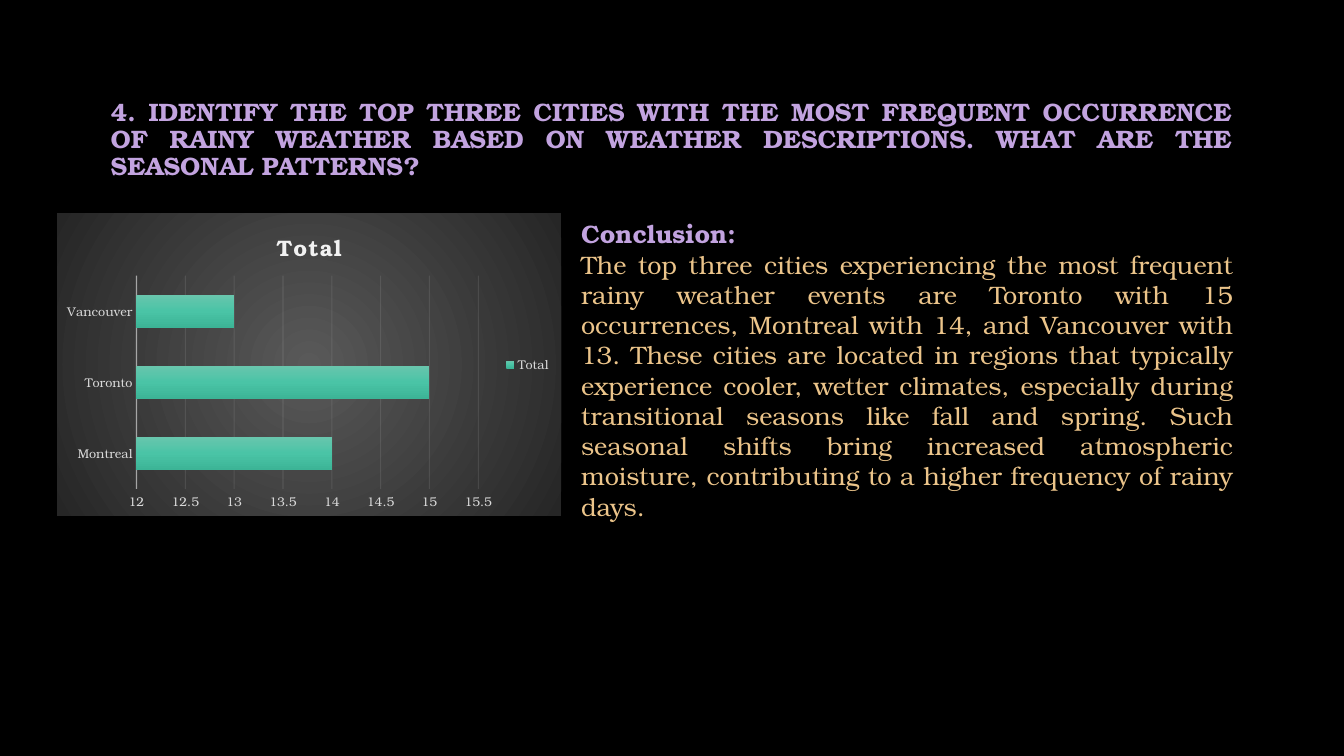
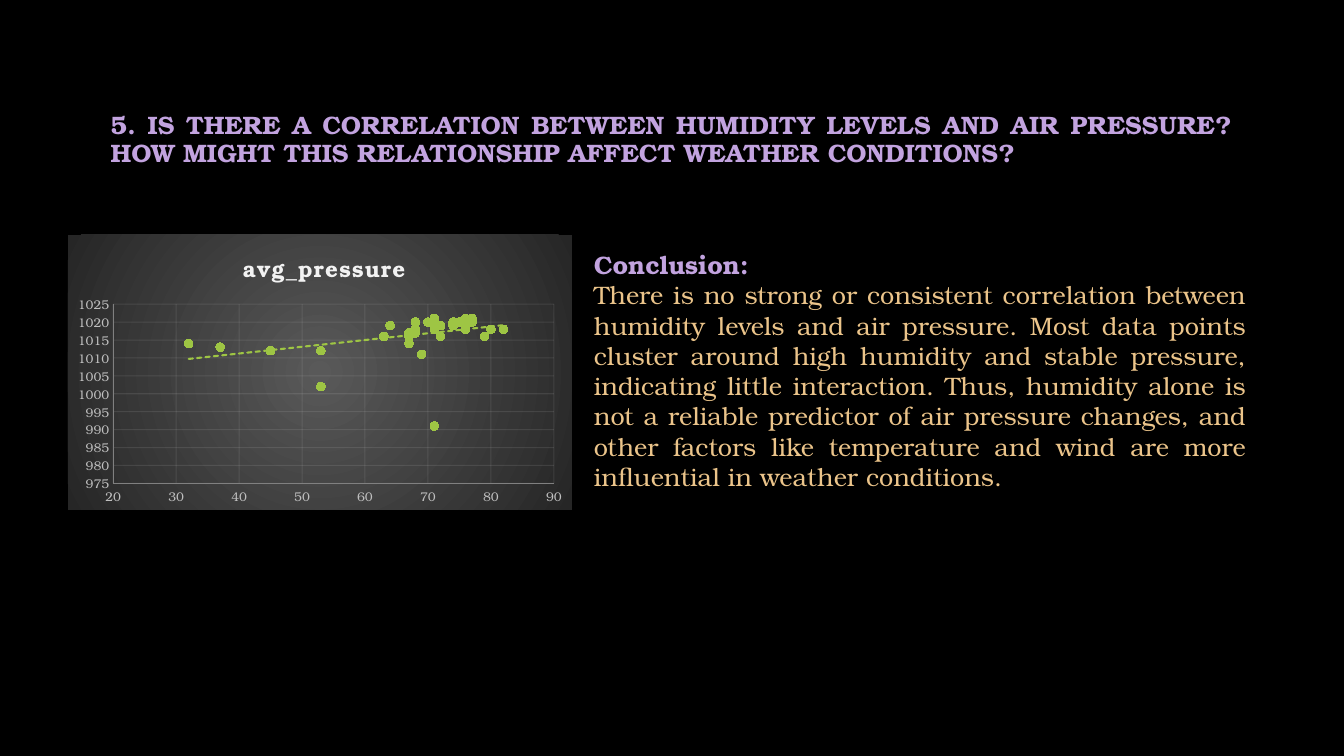
"""Build two weather analysis slides, each pairing a chart with its conclusion."""
import pptx
import pptx.chart.data
import pptx.dml.color
import pptx.enum.chart
import pptx.enum.text
import pptx.oxml
import pptx.oxml.ns
import pptx.util

WIDTH, HEIGHT = pptx.util.Inches(13.33), pptx.util.Inches(7.5)
COLUMNS, ROWS = 40, 45
FONT = "TeX Gyre Bonum"
COLORS = {
    "background": "000000",
    "heading": "C2A3DF",
    "body": "EBC48A",
    "chart_text": "FFFFFF",
    "chart_title": "F2F2F2",
    "grid": "F2F2F2",
    "axis_line": "808080",
    "bar_labels": "D9D9D9",
    "scatter_labels": "BFBFBF",
    "pressure": "9EC544",
}
PANEL_STOPS = [(0, "595959"), (100, "262626")]
BAR_STOPS = [(0, "69C6AD"), (50, "4AC4A6"), (100, "3CB496")]
PANEL_SHADE = ('<a:path path="circle"><a:fillToRect l="50000" t="50000" '
               'r="50000" b="50000"/></a:path>')
BAR_SHADE = '<a:lin ang="5400000" scaled="0"/>'

TITLE_AREA = (3, 4, 33.96, 8.7)
RAINY_CITIES = {"Montreal": 14, "Toronto": 15, "Vancouver": 13}
HUMIDITY_PRESSURE = [
    (45, 1012), (71, 1021), (71, 991), (77, 1020), (70, 1020), (74, 1020),
    (64, 1019), (53, 1012), (72, 1019), (53, 1002), (80, 1018), (74, 1019),
    (72, 1016), (76, 1021), (69, 1011), (67, 1017), (32, 1014), (63, 1016),
    (76, 1018), (71, 1020), (72, 1019), (79, 1016), (68, 1017), (67, 1016),
    (68, 1020), (37, 1013), (70, 1020), (75, 1020), (71, 1018), (68, 1018),
    (68, 1020), (77, 1021), (77, 1020), (67, 1014), (76, 1019), (82, 1018),
]


def color(name):
    """Return the named colour."""
    return pptx.dml.color.RGBColor.from_string(COLORS[name])


def place(area):
    """Turn left, top, width and height in columns and rows into lengths."""
    left, top, width, height = area
    return (int(WIDTH * left / COLUMNS), int(HEIGHT * top / ROWS),
            int(WIDTH * width / COLUMNS), int(HEIGHT * height / ROWS))


def style_font(font, size, color_name, bold=False):
    """Apply the shared typeface with a size, colour and weight."""
    font.name = FONT
    font.size = pptx.util.Pt(size)
    font.bold = bold
    font.color.rgb = color(color_name)


def chart_xml(tag, content):
    """Parse a chart element with the given content."""
    namespaces = pptx.oxml.ns.nsdecls("c", "a")
    return pptx.oxml.parse_xml(f"<c:{tag} {namespaces}>{content}</c:{tag}>")


def gradient_properties(stops, shade):
    """Return shape properties holding a gradient fill without outline."""
    stop_list = "".join(
        f'<a:gs pos="{position * 1000}"><a:srgbClr val="{value}"/></a:gs>'
        for position, value in stops)
    return chart_xml("spPr", f"<a:gradFill><a:gsLst>{stop_list}</a:gsLst>{shade}"
                             "</a:gradFill><a:ln><a:noFill/></a:ln>")


def set_opacity(chart, query, percent):
    """Make the colours found by a query partly transparent."""
    for node in chart.element.xpath(query):
        alpha = pptx.oxml.parse_xml(
            f'<a:alpha {pptx.oxml.ns.nsdecls("a")} val="{percent * 1000}"/>')
        node.append(alpha)


def add_slide(presentation, title):
    """Add a dark slide with its question as the title."""
    slide = presentation.slides.add_slide(presentation.slide_layouts[6])
    slide.background.fill.solid()
    slide.background.fill.fore_color.rgb = color("background")
    text_frame = slide.shapes.add_textbox(*place(TITLE_AREA)).text_frame
    text_frame.word_wrap = True
    text_frame.vertical_anchor = pptx.enum.text.MSO_ANCHOR.MIDDLE
    text_frame.text = title
    paragraph = text_frame.paragraphs[0]
    paragraph.alignment = pptx.enum.text.PP_ALIGN.JUSTIFY
    paragraph.line_spacing = 0.9
    style_font(paragraph.runs[0].font, 18, "heading", True)
    return slide


def add_conclusion(slide, area, text):
    """Add the conclusion heading and its justified paragraph."""
    text_frame = slide.shapes.add_textbox(*place(area)).text_frame
    text_frame.word_wrap = True
    text_frame.auto_size = pptx.enum.text.MSO_AUTO_SIZE.SHAPE_TO_FIT_TEXT
    text_frame.text = f"Conclusion:\n{text}"
    heading, body = text_frame.paragraphs
    style_font(heading.runs[0].font, 18, "heading", True)
    style_font(body.runs[0].font, 18, "body")
    body.alignment = pptx.enum.text.PP_ALIGN.JUSTIFY


def add_chart(slide, kind, area, data, title):
    """Add a chart on the shared grey panel with a spaced title."""
    chart = slide.shapes.add_chart(kind, *place(area), data).chart
    style_font(chart.font, 10, "chart_text")
    chart.has_title = True
    chart.chart_title.include_in_layout = False
    chart.chart_title.text_frame.text = title
    run = chart.chart_title.text_frame.paragraphs[0].runs[0]
    style_font(run.font, 16, "chart_title", True)
    for properties in chart.element.xpath("./c:chart/c:title//a:rPr"):
        properties.set("spc", "100")
    panel = gradient_properties(PANEL_STOPS, PANEL_SHADE)
    chart.element.find(pptx.oxml.ns.qn("c:chart")).addnext(panel)
    chart.has_legend = False
    return chart


def style_axis(axis, label_color, line=None, line_width=0.75, grid=True):
    """Style the labels, line and gridlines of an axis."""
    axis.major_tick_mark = pptx.enum.chart.XL_TICK_MARK.NONE
    axis.minor_tick_mark = pptx.enum.chart.XL_TICK_MARK.NONE
    style_font(axis.tick_labels.font, 9, label_color)
    if line:
        axis.format.line.color.rgb = color(line)
        axis.format.line.width = pptx.util.Pt(line_width)
    else:
        axis.format.line.fill.background()
    axis.has_major_gridlines = grid
    if grid:
        grid_line = axis.major_gridlines.format.line
        grid_line.color.rgb = color("grid")
        grid_line.width = pptx.util.Pt(0.75)


def set_scale(axis, minimum, maximum, step):
    """Fix the range and step of a value axis."""
    axis.minimum_scale, axis.maximum_scale = minimum, maximum
    axis.major_unit = step
    axis.tick_labels.number_format = "General"
    axis.tick_labels.number_format_is_linked = False


def add_rain_chart(slide, area):
    """Add the bar chart of rainy days by city."""
    data = pptx.chart.data.CategoryChartData()
    data.categories = RAINY_CITIES.keys()
    data.add_series("Total", RAINY_CITIES.values())
    kind = pptx.enum.chart.XL_CHART_TYPE.BAR_CLUSTERED
    chart = add_chart(slide, kind, area, data, "Total")
    plot = chart.plots[0]
    plot.vary_by_categories = False
    plot.gap_width, plot.overlap = 115, -20
    style_axis(chart.category_axis, "bar_labels", "grid", 1, grid=False)
    style_axis(chart.value_axis, "bar_labels")
    set_scale(chart.value_axis, 12, 15.5, 0.5)
    set_opacity(chart, ".//c:catAx/c:spPr//a:srgbClr", 54)
    set_opacity(chart, ".//c:majorGridlines//a:srgbClr", 10)
    chart.has_legend = True
    chart.legend.position = pptx.enum.chart.XL_LEGEND_POSITION.RIGHT
    chart.legend.include_in_layout = False
    style_font(chart.legend.font, 9, "bar_labels")
    for series_name in chart.element.xpath(".//c:ser/c:tx"):
        series_name.addnext(gradient_properties(BAR_STOPS, BAR_SHADE))


def add_pressure_chart(slide, area):
    """Add the scatter chart of pressure against humidity with its trend."""
    data = pptx.chart.data.XyChartData()
    series_data = data.add_series(" avg_pressure")
    for humidity, pressure in HUMIDITY_PRESSURE:
        series_data.add_data_point(humidity, pressure)
    kind = pptx.enum.chart.XL_CHART_TYPE.XY_SCATTER
    chart = add_chart(slide, kind, area, data, " avg_pressure")
    for axis in (chart.category_axis, chart.value_axis):
        style_axis(axis, "scatter_labels", "axis_line")
    set_scale(chart.category_axis, 20, 90, 10)
    set_scale(chart.value_axis, 975, 1025, 5)
    set_opacity(chart, ".//c:majorGridlines//a:srgbClr", 10)
    series = chart.plots[0].series[0]
    series.format.line.fill.background()
    series.marker.style = pptx.enum.chart.XL_MARKER_STYLE.CIRCLE
    series.marker.size = 6
    series.marker.format.fill.solid()
    series.marker.format.fill.fore_color.rgb = color("pressure")
    series.marker.format.line.fill.background()
    trend = chart_xml("trendline", (
        '<c:spPr><a:ln w="19050" cap="rnd"><a:solidFill>'
        f'<a:srgbClr val="{COLORS["pressure"]}"/></a:solidFill>'
        '<a:prstDash val="sysDash"/></a:ln></c:spPr>'
        '<c:trendlineType val="linear"/><c:dispRSqr val="0"/><c:dispEq val="0"/>'))
    for x_values in chart.element.xpath(".//c:ser/c:xVal"):
        x_values.addprevious(trend)


def main():
    """Build and save the presentation."""
    presentation = pptx.Presentation()
    presentation.slide_width, presentation.slide_height = WIDTH, HEIGHT

    slide = add_slide(presentation, (
        "4. IDENTIFY THE TOP THREE CITIES WITH THE MOST FREQUENT OCCURRENCE OF "
        "RAINY WEATHER BASED ON WEATHER DESCRIPTIONS. WHAT ARE THE SEASONAL "
        "PATTERNS?"))
    add_conclusion(slide, (17, 12.72, 20, 17), (
        "The top three cities experiencing the most frequent rainy weather "
        "events are Toronto with 15 occurrences, Montreal with 14, and "
        "Vancouver with 13. These cities are located in regions that typically "
        "experience cooler, wetter climates, especially during transitional "
        "seasons like fall and spring. Such seasonal shifts bring increased "
        "atmospheric moisture, contributing to a higher frequency of rainy "
        "days."))
    add_rain_chart(slide, (1.7, 12.7, 15, 18))

    slide = add_slide(presentation, (
        "5. IS THERE A CORRELATION BETWEEN HUMIDITY LEVELS AND AIR PRESSURE? "
        "HOW MIGHT THIS RELATIONSHIP AFFECT WEATHER CONDITIONS?"))
    add_conclusion(slide, (17.38, 14.56, 20, 15.1), (
        "There is no strong or consistent correlation between humidity levels "
        "and air pressure. Most data points cluster around high humidity and "
        "stable pressure, indicating little interaction. Thus, humidity alone "
        "is not a reliable predictor of air pressure changes, and other factors "
        "like temperature and wind are more influential in weather conditions."))
    add_pressure_chart(slide, (2.02, 13.96, 15, 16.38))

    presentation.save("out.pptx")


if __name__ == "__main__":
    main()
